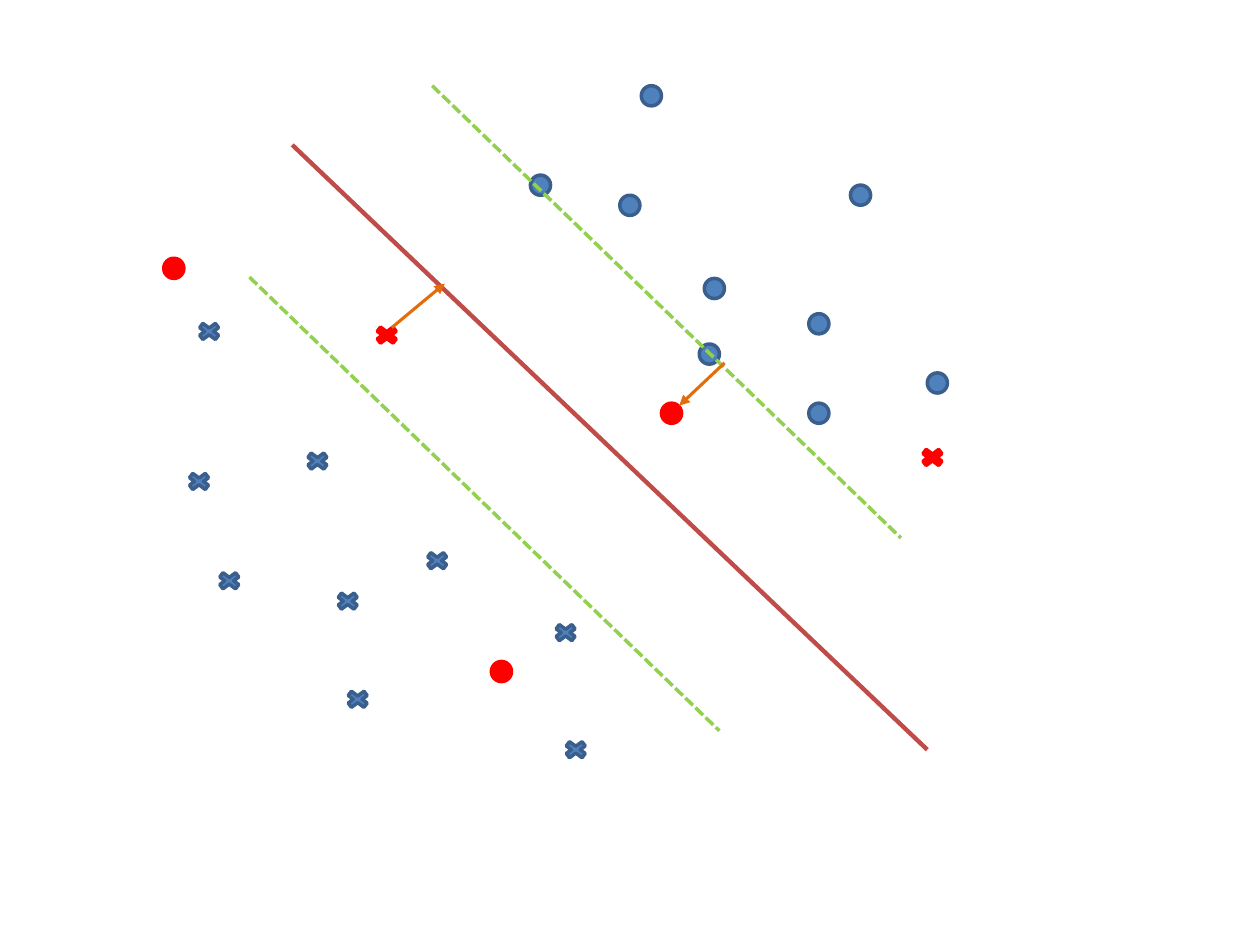
from dataclasses import dataclass

from lxml import etree
from pptx import Presentation
from pptx.dml.color import RGBColor
from pptx.enum import dml, shapes
from pptx.oxml import ns
from pptx.util import Pt


@dataclass(frozen=True)
class Theme:
    """Colours and line widths of the diagram."""
    sample: str = "4F81BD"
    sample_edge: str = "3A5F8C"
    outlier: str = "FF0000"
    boundary: str = "BF4C48"
    margin: str = "92D050"
    slack: str = "E46C0A"
    marker_width: float = 2
    boundary_width: float = 2.5
    margin_width: float = 2
    slack_width: float = 1.75


THEME = Theme()
CIRCLE = (shapes.MSO_SHAPE.FLOWCHART_CONNECTOR, 11.5, 11.5)
CROSS = (shapes.MSO_SHAPE.MATH_MULTIPLY, 17.3, 13)

# Left and top of each marker, in points
CIRCLE_SAMPLES = [
    (354.2, 111.6), (366.5, 49), (402.5, 159.1), (303.1, 100.1), (399.6, 196.6),
    (462.2, 230.4), (462.2, 179.3), (529.9, 213.1), (486, 105.8),
]
CIRCLE_OUTLIERS = [(378, 230.4), (93.6, 147.6), (280.8, 378)]
CROSS_SAMPLES = [
    (110.9, 182.9), (122.4, 325.4), (320.4, 421.9), (172.8, 257), (105.1, 268.6),
    (195.8, 393.1), (241.2, 313.9), (190.1, 337), (314.6, 355),
]
CROSS_OUTLIERS = [(524.2, 254.9), (212.4, 185)]

# Start and end of each line, in points
BOUNDARY = (167, 82.8, 529.9, 428.4)
MARGINS = [(142.6, 158.4, 411.1, 417.6), (247, 49, 514.8, 307.4)]
SLACKS = [(414, 207.4, 388.1, 231.8), (223.9, 187.2, 254.2, 162)]


def add_markers(slide, kind, positions, fill, edge):
    """Draw one marker of the given kind at each position."""
    preset, width, height = kind
    for left, top in positions:
        marker = slide.shapes.add_shape(
            preset, Pt(left), Pt(top), Pt(width), Pt(height))
        marker.shadow.inherit = False
        marker.fill.solid()
        marker.fill.fore_color.rgb = RGBColor.from_string(fill)
        marker.line.color.rgb = RGBColor.from_string(edge)
        marker.line.width = Pt(THEME.marker_width)


def add_line(slide, ends, color, width, dash=None, arrow=False):
    """Draw a straight line, optionally dashed or with an arrowhead."""
    stroke = slide.shapes.add_connector(
        shapes.MSO_CONNECTOR.STRAIGHT, *(Pt(end) for end in ends))
    stroke.line.color.rgb = RGBColor.from_string(color)
    stroke.line.width = Pt(width)
    if dash is not None:
        stroke.line.dash_style = dash
    properties = stroke._element.spPr
    if arrow:
        outline = properties.find(ns.qn("a:ln"))
        etree.SubElement(outline, ns.qn("a:tailEnd"), type="triangle")
    etree.SubElement(properties, ns.qn("a:effectLst"))


def main():
    """Build the soft-margin classifier diagram."""
    deck = Presentation()
    deck.slide_width, deck.slide_height = Pt(720), Pt(540)
    slide = deck.slides.add_slide(deck.slide_layouts[6])

    sample = (THEME.sample, THEME.sample_edge)
    outlier = (THEME.outlier, THEME.outlier)
    add_markers(slide, CIRCLE, CIRCLE_SAMPLES, *sample)
    add_markers(slide, CIRCLE, CIRCLE_OUTLIERS, *outlier)
    add_line(slide, BOUNDARY, THEME.boundary, THEME.boundary_width)
    add_markers(slide, CROSS, CROSS_SAMPLES, *sample)
    add_markers(slide, CROSS, CROSS_OUTLIERS, *outlier)
    for margin in MARGINS:
        add_line(slide, margin, THEME.margin, THEME.margin_width,
                 dash=dml.MSO_LINE.SQUARE_DOT)
    for slack in SLACKS:
        add_line(slide, slack, THEME.slack, THEME.slack_width, arrow=True)

    deck.save("out.pptx")


main()
